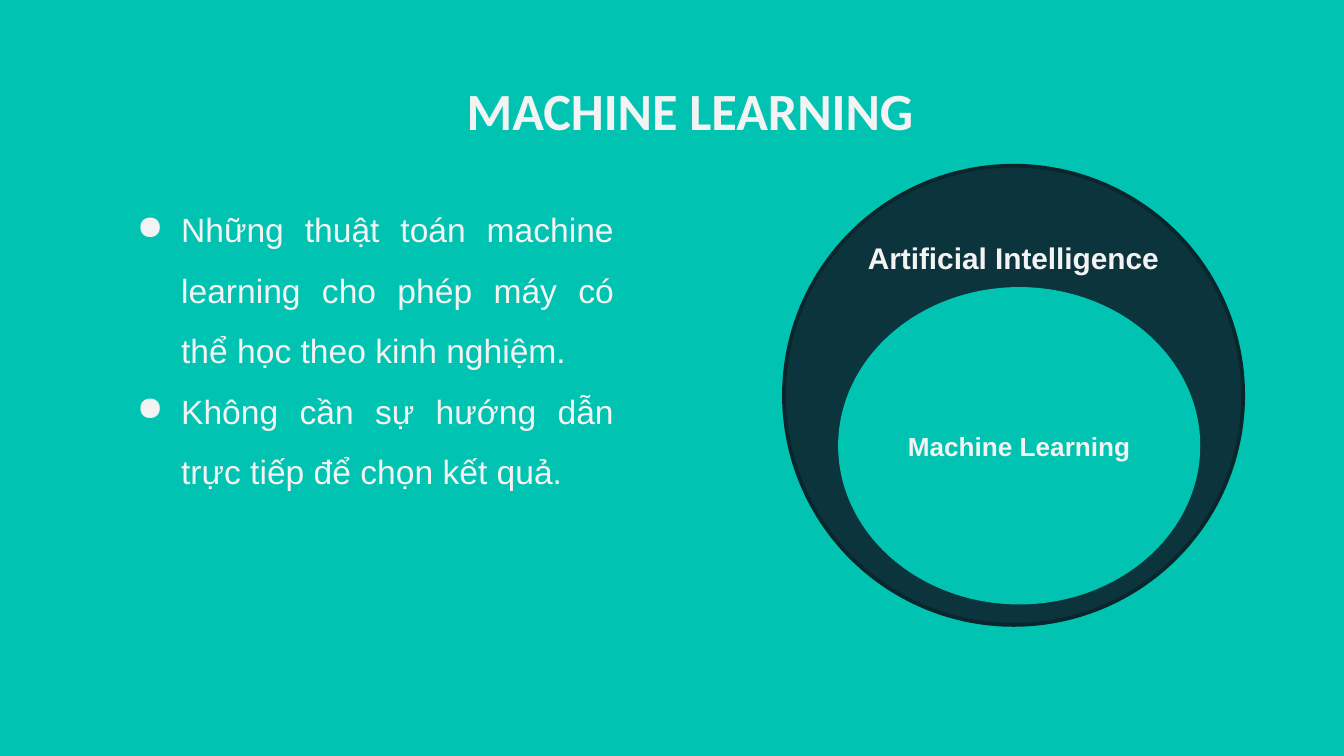
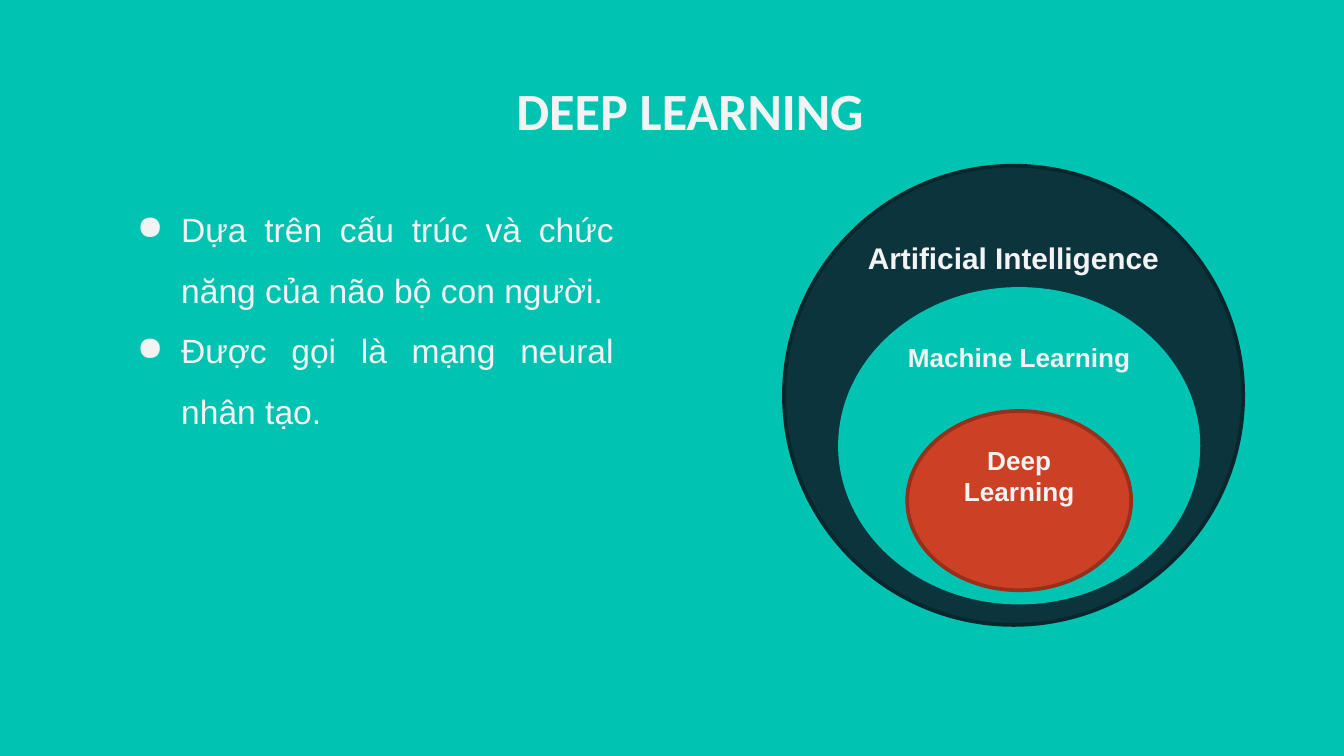
from typing import NamedTuple

from lxml import etree
from pptx import Presentation, util as u
from pptx.dml.color import RGBColor
from pptx.enum import shapes, text
from pptx.oxml.ns import qn

# The slide is a grid of square cells: 120 columns by 67.5 rows.
CELL = u.Inches(1 / 12)
COLUMNS, ROWS = 120, 67.5

TEAL = RGBColor(0x00, 0xC3, 0xB1)
NAVY = RGBColor(0x0C, 0x34, 0x3D)
NAVY_EDGE = RGBColor(0x09, 0x26, 0x2D)
RED = RGBColor(0xCC, 0x41, 0x25)
RED_EDGE = RGBColor(0x97, 0x30, 0x1B)
PALE = RGBColor(0xF3, 0xF3, 0xF3)

TOP, MIDDLE = text.MSO_ANCHOR.TOP, text.MSO_ANCHOR.MIDDLE


class Area(NamedTuple):
    column: float
    row: float
    columns: float
    rows: float

    def lengths(self) -> list[int]:
        return [round(cells * CELL) for cells in self]


class Field(NamedTuple):
    """One ellipse of the nested diagram."""
    label: str
    area: Area
    fill: RGBColor
    edge: RGBColor
    size: int = 14
    anchor: text.MSO_ANCHOR = TOP


class Topic(NamedTuple):
    title: str
    points: list[str]
    fields: list[Field]


TITLE_AREA = Area(11, 5.8, 101.2, 7.5)
POINTS_AREA = Area(9, 15.7, 47, 44.9)

INTELLIGENCE = Field("Artificial Intelligence", Area(70, 14.8, 41, 41), NAVY, NAVY_EDGE, 16)
MACHINE = Field("Machine Learning", Area(75, 25.8, 32, 28), TEAL, TEAL)
DEEP = Field("Deep Learning", Area(81, 36.7, 20, 16), RED, RED_EDGE)

TOPICS = [
    Topic(
        "MACHINE LEARNING",
        ["Những thuật toán machine learning cho phép máy có thể học theo kinh nghiệm.",
         "Không cần sự hướng dẫn trực tiếp để chọn kết quả."],
        [INTELLIGENCE, MACHINE._replace(anchor=MIDDLE)],
    ),
    Topic(
        "DEEP LEARNING",
        ["Dựa trên cấu trúc và chức năng của não bộ con người.",
         "Được gọi là mạng neural nhân tạo."],
        [INTELLIGENCE, MACHINE, DEEP],
    ),
]


def add_bullet(paragraph) -> None:
    properties = paragraph._p.get_or_add_pPr()
    properties.set("marL", str(u.Inches(0.5)))
    properties.set("indent", str(u.Inches(-0.33)))
    colour = etree.SubElement(properties, qn("a:buClr"))
    etree.SubElement(colour, qn("a:srgbClr"), val=str(PALE))
    etree.SubElement(properties, qn("a:buChar"), char="●")


def write(shape, lines: list[str], *, size: int, font: str = "Arial", bold: bool = True,
          align=text.PP_ALIGN.CENTER, anchor=TOP, spacing: float = 1.0,
          bulleted: bool = False, inset: float | None = None) -> None:
    """Fill a shape with one paragraph per line; inset is in inches."""
    frame = shape.text_frame
    frame.word_wrap = True
    frame.vertical_anchor = anchor
    if inset is not None:
        frame.margin_left = frame.margin_right = u.Inches(inset)
        frame.margin_top = frame.margin_bottom = u.Inches(inset)
    for index, line in enumerate(lines):
        paragraph = frame.add_paragraph() if index else frame.paragraphs[0]
        if bulleted:
            add_bullet(paragraph)
        paragraph.alignment = align
        paragraph.line_spacing = spacing
        run = paragraph.add_run()
        run.text = line
        run.font.name, run.font.size, run.font.bold = font, u.Pt(size), bold
        run.font.color.rgb = PALE


def draw_field(slide, field: Field) -> None:
    ellipse = slide.shapes.add_shape(shapes.MSO_SHAPE.OVAL, *field.area.lengths())
    ellipse.shadow.inherit = False
    ellipse.fill.solid()
    ellipse.fill.fore_color.rgb = field.fill
    ellipse.line.color.rgb = field.edge
    ellipse.line.width = u.Pt(2)
    write(ellipse, [field.label], size=field.size, anchor=field.anchor)


def draw_topic(deck, topic: Topic) -> None:
    slide = deck.slides.add_slide(deck.slide_layouts[6])
    slide.background.fill.solid()
    slide.background.fill.fore_color.rgb = TEAL
    title = slide.shapes.add_textbox(*TITLE_AREA.lengths())
    write(title, [topic.title], size=28, font="Calibri", inset=0.1)
    points = slide.shapes.add_textbox(*POINTS_AREA.lengths())
    write(points, topic.points, size=18, bold=False, align=text.PP_ALIGN.JUSTIFY,
          spacing=1.5, bulleted=True, inset=0.1)
    for field in topic.fields:
        draw_field(slide, field)


def main() -> None:
    deck = Presentation()
    deck.slide_width, deck.slide_height = round(COLUMNS * CELL), round(ROWS * CELL)
    for topic in TOPICS:
        draw_topic(deck, topic)
    deck.save("out.pptx")


if __name__ == "__main__":
    main()
